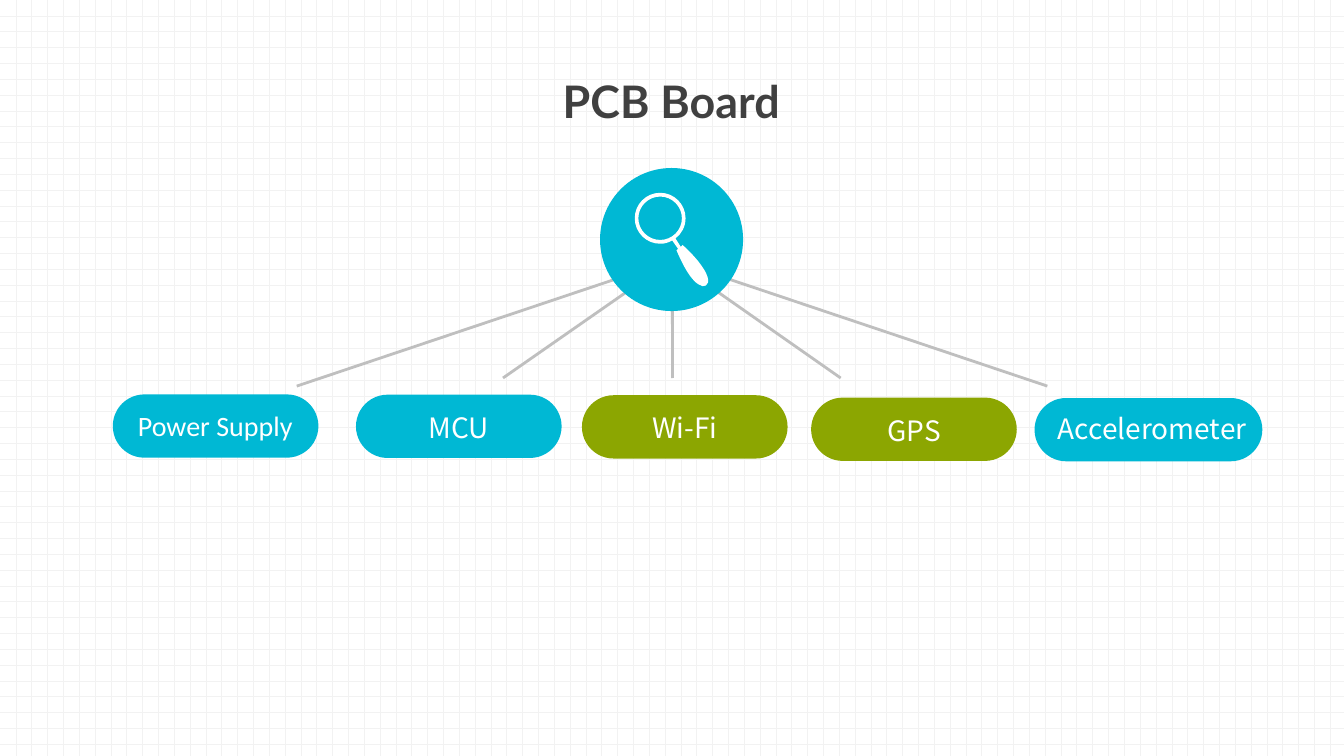
import pptx
import pptx.dml.color
import pptx.enum.dml
import pptx.enum.shapes
import pptx.enum.text
import pptx.oxml.ns
import pptx.util
from lxml import etree

Pt = pptx.util.Pt
qn = pptx.oxml.ns.qn
SHAPES = pptx.enum.shapes.MSO_SHAPE
ANCHORS = pptx.enum.text.MSO_ANCHOR

CYAN, GREEN, WHITE, GREY, DARK = "00B8D4", "8CA601", "FFFFFF", "BFBFBF", "404040"
CJK_FONT = "Noto Sans CJK SC"
HUB = (480.2, 185.8)
HUB_DIAMETER = 102.2
SPOKE_TIPS = [(212, 275.8), (748.1, 275.8), (359.3, 270), (600.5, 270), (480.4, 270)]

# label, font, colour, pill (left, top, width), text box (left, top, width, height)
MODULES = [
    ("Power Supply", "Calibri", CYAN, (80.6, 281.7, 146.9), (53.3, 288, 200.9, 55.4)),
    ("GPS", CJK_FONT, GREEN, (579.4, 284, 146.9), (596.5, 291.6, 113, 31.7)),
    ("Accelerometer", CJK_FONT, CYAN, (739, 284.3, 162.7), (735.8, 290.2, 174.2, 31.7)),
    ("Wi-Fi", CJK_FONT, GREEN, (415.7, 282.3, 146.9), (432.7, 289.9, 113, 31.7)),
    ("MCU", CJK_FONT, CYAN, (254.3, 281.9, 146.9), (271.3, 289.4, 113, 31.7)),
]
PILL_HEIGHT = 45.2

LENS_OPENING = [
    [(471.6, 140.4)],
    [(463, 140.4), (456, 147.4), (456, 155.9)],
    [(456, 164.4), (463, 171.4), (471.6, 171.4)],
    [(480.1, 171.4), (487.1, 164.4), (487.1, 155.9)],
    [(487.1, 147.4), (480.1, 140.4), (471.6, 140.4)],
]
LENS_AND_HANDLE = [
    [(471.6, 137.7)],
    [(481.6, 137.7), (489.7, 145.9), (489.7, 155.9)],
    [(489.7, 161.8), (486.9, 167), (482.5, 170.3)],
    [(486.3, 176.3)],
    [(487.6, 175)],
    [(501.8, 187.9), (507, 198), (505.7, 201.8)],
    [(505.2, 203.6), (503.6, 204.8), (501.8, 204.4)],
    [(493.2, 202.3), (486, 185), (483.2, 178.8)],
    [(484.4, 177.8)],
    [(480.2, 171.8)],
    [(477.6, 173.3), (474.7, 174.1), (471.6, 174.1)],
    [(461.5, 174.1), (453.4, 165.9), (453.4, 155.9)],
    [(453.4, 145.9), (461.5, 137.7), (471.6, 137.7)],
]


def color(value):
    """Turn a hex string into a colour."""
    return pptx.dml.color.RGBColor.from_string(value)


def paint(shape, fill):
    """Give a shape a plain fill without outline or shadow."""
    shape.shadow.inherit = False
    shape.fill.solid()
    shape.fill.fore_color.rgb = color(fill)
    shape.line.fill.background()


def add_shape(parent, kind, box, fill):
    """Add a plain preset shape."""
    shape = parent.shapes.add_shape(kind, *map(Pt, box))
    paint(shape, fill)
    return shape


def add_text(parent, text, box, font, size, fill, bold=False, anchor=ANCHORS.TOP):
    """Add a centred line of text and return its paragraph."""
    frame = parent.shapes.add_textbox(*map(Pt, box)).text_frame
    frame.word_wrap = True
    frame.vertical_anchor = anchor
    paragraph = frame.paragraphs[0]
    paragraph.text = text
    paragraph.alignment = pptx.enum.text.PP_ALIGN.CENTER
    paragraph.font.name = font
    paragraph.font.size = Pt(size)
    paragraph.font.bold = bold
    paragraph.font.color.rgb = color(fill)
    return paragraph


def add_spoke(slide, tip):
    """Draw a grey line from the hub to a tip."""
    straight = pptx.enum.shapes.MSO_CONNECTOR.STRAIGHT
    spoke = slide.shapes.add_connector(straight, *map(Pt, HUB + tip))
    spoke.line.color.rgb = color(GREY)
    spoke.line.width = Pt(2)
    etree.SubElement(spoke._element.spPr, qn("a:effectLst"))


def bend(shape, segments):
    """Replace the straight pieces of a freeform by Bézier curves where needed."""
    pieces = list(shape._element.iter(qn("a:lnTo")))
    for piece, segment in zip(pieces, segments):
        if len(segment) == 3:
            curve = etree.Element(qn("a:cubicBezTo"))
            for x, y in segment:
                place = {"x": str(Pt(x) - shape.left), "y": str(Pt(y) - shape.top)}
                etree.SubElement(curve, qn("a:pt"), place)
            piece.getparent().replace(piece, curve)


def add_outline(parent, contours, fill):
    """Add a filled freeform made of closed contours."""
    builder = parent.shapes.build_freeform(*map(Pt, contours[0][0][0]))
    for index, (start, *segments) in enumerate(contours):
        if index:
            builder.move_to(*map(Pt, start[0]))
        ends = [tuple(map(Pt, segment[-1])) for segment in segments]
        builder.add_line_segments(ends, close=True)
    shape = builder.convert_to_shape()
    bend(shape, [segment for contour in contours for segment in contour[1:]])
    paint(shape, fill)


def add_module(slide, label, font, fill, pill, label_box):
    """Add a rounded pill grouped with its label."""
    group = slide.shapes.add_group_shape()
    shape = add_shape(group, SHAPES.ROUNDED_RECTANGLE, (*pill, PILL_HEIGHT), fill)
    shape.adjustments[0] = 0.5
    add_text(group, label, label_box, font, 20, WHITE)


def add_hub(slide):
    """Add the central disc grouped with its magnifying glass."""
    group = slide.shapes.add_group_shape()
    add_shape(group, SHAPES.OVAL, (428.6, 120, HUB_DIAMETER, HUB_DIAMETER), CYAN)
    add_outline(group, [LENS_OPENING, LENS_AND_HANDLE], WHITE)


def set_grid_background(slide):
    """Fill the background with a pale dotted grid."""
    fill = slide.background.fill
    fill.patterned()
    fill.pattern = pptx.enum.dml.MSO_PATTERN.DOTTED_GRID
    fill.fore_color.rgb = color("F2F2F2")
    fill.back_color.rgb = color(WHITE)


def main():
    """Build the slide and save it."""
    presentation = pptx.Presentation()
    presentation.slide_width, presentation.slide_height = Pt(960), Pt(540)
    slide = presentation.slides.add_slide(presentation.slide_layouts[6])
    set_grid_background(slide)
    for tip in SPOKE_TIPS:
        add_spoke(slide, tip)
    for module in MODULES:
        add_module(slide, *module)
    add_hub(slide)
    title = add_text(slide, "PCB Board", (244.8, 53.6, 469.4, 41.8), "Lato", 32, DARK, True, ANCHORS.MIDDLE)
    title.line_spacing = 0.9
    presentation.save("out.pptx")


if __name__ == "__main__":
    main()
